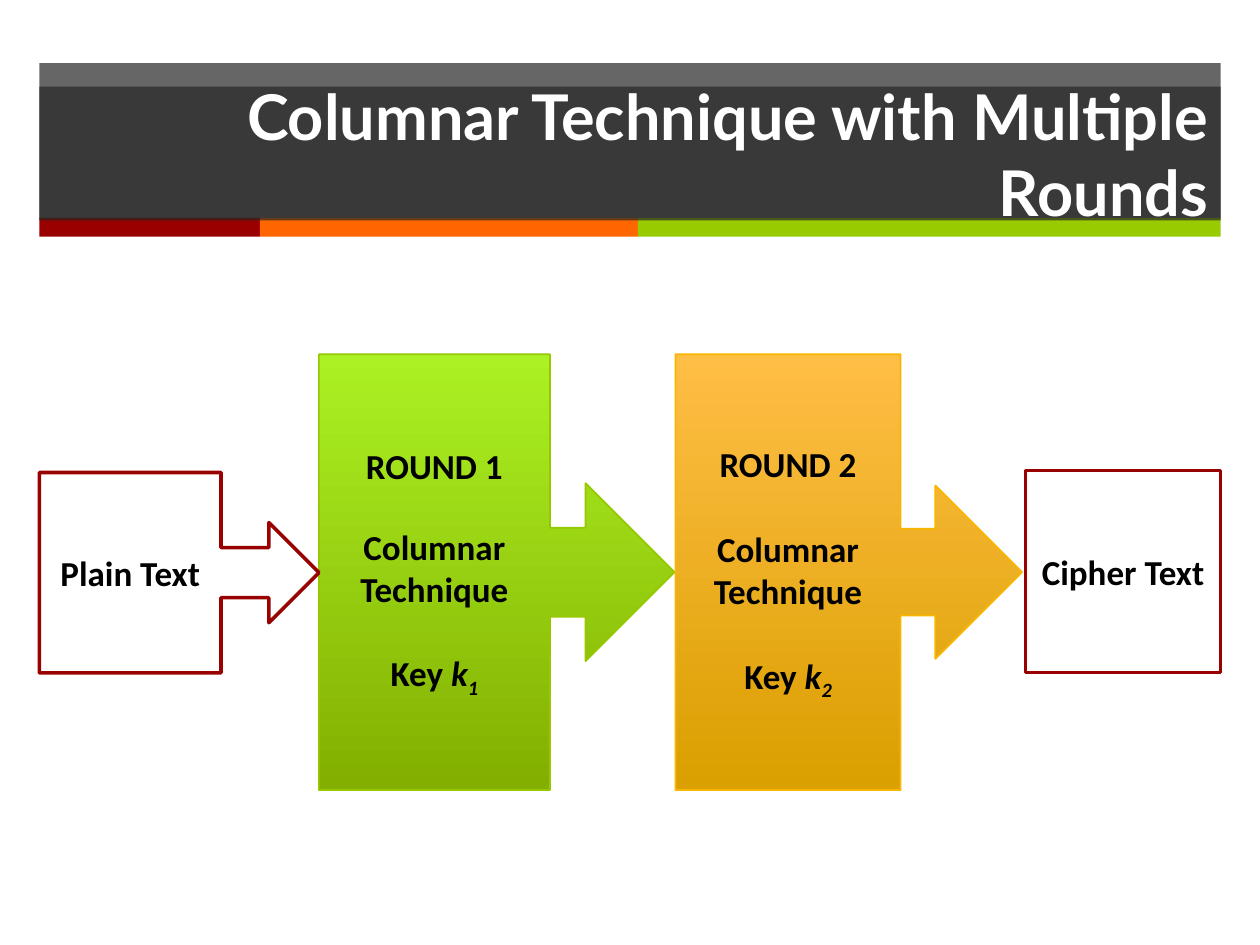
from dataclasses import dataclass
from typing import Optional

import pptx
import pptx.dml.color
import pptx.enum.shapes
import pptx.enum.text
import pptx.oxml.ns
import pptx.util
from lxml import etree

Pt = pptx.util.Pt
SHAPE = pptx.enum.shapes.MSO_SHAPE
ALIGN = pptx.enum.text.PP_ALIGN
MIDDLE = pptx.enum.text.MSO_ANCHOR.MIDDLE

COLORS = {
    "white": "FFFFFF", "black": "000000", "charcoal": "262626",
    "red": "990000", "orange": "FF6600", "green": "99CC00",
    "lime_dark": "83AF00", "lime_light": "ABF123", "lime_line": "96C800",
    "amber_dark": "DA9F00", "amber_light": "FFBE45", "amber_line": "F9B600",
}
LEFT, WIDTH = 22.5, 675
HEADER_ALPHA = 70
STRIPES = [("red", 126), ("orange", 216), ("green", 333)]


@dataclass
class Box:
    left: float
    top: float
    width: float
    height: float


@dataclass
class Endpoint:
    text: str
    box: Box
    preset: SHAPE


@dataclass
class Round:
    number: int
    box: Box
    hue: str
    heading_gap: float


ROUNDS = [
    Round(1, Box(182.25, 202.5, 203.25, 249), "lime", 22),
    Round(2, Box(386, 202.5, 198, 249), "amber", 24.4),
]
ENDPOINTS = [
    Endpoint("Plain Text", Box(LEFT, 270, 159.75, 114.5), SHAPE.RIGHT_ARROW_CALLOUT),
    Endpoint("Cipher Text", Box(586, 268.75, 111.5, 115.5), SHAPE.RECTANGLE),
]


def rgb(name: str) -> pptx.dml.color.RGBColor:
    return pptx.dml.color.RGBColor.from_string(COLORS[name])


def fill_solid(s, color: str, alpha: Optional[int] = None) -> None:
    """Fill a shape; alpha is its opacity in percent."""
    s.fill.solid()
    s.fill.fore_color.rgb = rgb(color)
    if alpha is not None:
        qn = pptx.oxml.ns.qn
        clr = s._element.spPr.find(qn("a:solidFill")).find(qn("a:srgbClr"))
        etree.SubElement(clr, qn("a:alpha"), val=str(alpha * 1000))


def add_shape(slide, preset: SHAPE, box: Box, line: Optional[str] = None, weight: float = 1):
    s = slide.shapes.add_shape(
        preset, Pt(box.left), Pt(box.top), Pt(box.width), Pt(box.height))
    s.shadow.inherit = False
    if line:
        s.line.color.rgb = rgb(line)
        s.line.width = Pt(weight)
    else:
        s.line.fill.background()
    s.text_frame.word_wrap = True
    s.text_frame.vertical_anchor = MIDDLE
    return s


def format_run(r, size: float, color: str = "black", font: str = "Calibri") -> None:
    r.font.name = font
    r.font.size = Pt(size)
    r.font.bold = True
    r.font.color.rgb = rgb(color)


def add_header(slide, text: str) -> None:
    band = add_shape(slide, SHAPE.RECTANGLE, Box(LEFT, 36, WIDTH, 89.25))
    fill_solid(band, "charcoal", HEADER_ALPHA)
    x = LEFT
    for color, width in STRIPES:
        fill_solid(add_shape(slide, SHAPE.RECTANGLE, Box(x, 124.5, width, 10.8)), color)
        x += width

    title = slide.shapes.title
    title.left, title.top, title.width, title.height = Pt(LEFT), Pt(49.5), Pt(WIDTH), Pt(76.5)
    fill_solid(title, "charcoal", HEADER_ALPHA)
    tf = title.text_frame
    tf.text = text
    tf.auto_size = pptx.enum.text.MSO_AUTO_SIZE.NONE
    tf.vertical_anchor = MIDDLE
    p = tf.paragraphs[0]
    p.alignment = ALIGN.RIGHT
    format_run(p.runs[0], 36, "white", "Lato")
    # The title lies over the band and the stripes.
    slide.shapes._spTree.append(title._element)


def add_endpoint(slide, endpoint: Endpoint) -> None:
    s = add_shape(slide, endpoint.preset, endpoint.box, "red", 2)
    fill_solid(s, "white")
    s.text_frame.text = endpoint.text
    p = s.text_frame.paragraphs[0]
    p.alignment = ALIGN.CENTER
    format_run(p.runs[0], 20)


def add_round(slide, rnd: Round) -> None:
    s = add_shape(slide, SHAPE.RIGHT_ARROW_CALLOUT, rnd.box, f"{rnd.hue}_line")
    s.fill.gradient()
    s.fill.gradient_angle = 90
    for stop, shade in zip(s.fill.gradient_stops, ("dark", "light")):
        stop.color.rgb = rgb(f"{rnd.hue}_{shade}")

    tf = s.text_frame
    tf.text = f"ROUND {rnd.number}\nColumnar Technique\nKey "
    heading, technique, key = tf.paragraphs
    technique.space_before = Pt(rnd.heading_gap)
    key.space_before = Pt(24.4)
    symbol, index = key.add_run(), key.add_run()
    symbol.text, index.text = "k", str(rnd.number)
    for p in tf.paragraphs:
        p.alignment = ALIGN.CENTER
        for r in p.runs:
            format_run(r, 24 if p is heading else 20)
    symbol.font.italic = index.font.italic = True
    index.font._element.set("baseline", "-25000")


def main() -> None:
    prs = pptx.Presentation()
    prs.slide_width, prs.slide_height = Pt(720), Pt(540)
    slide = prs.slides.add_slide(prs.slide_layouts.get_by_name("Title Only"))
    add_header(slide, "Columnar Technique with Multiple Rounds")
    for rnd in ROUNDS:
        add_round(slide, rnd)
    for endpoint in ENDPOINTS:
        add_endpoint(slide, endpoint)
    prs.save("out.pptx")


if __name__ == "__main__":
    main()
